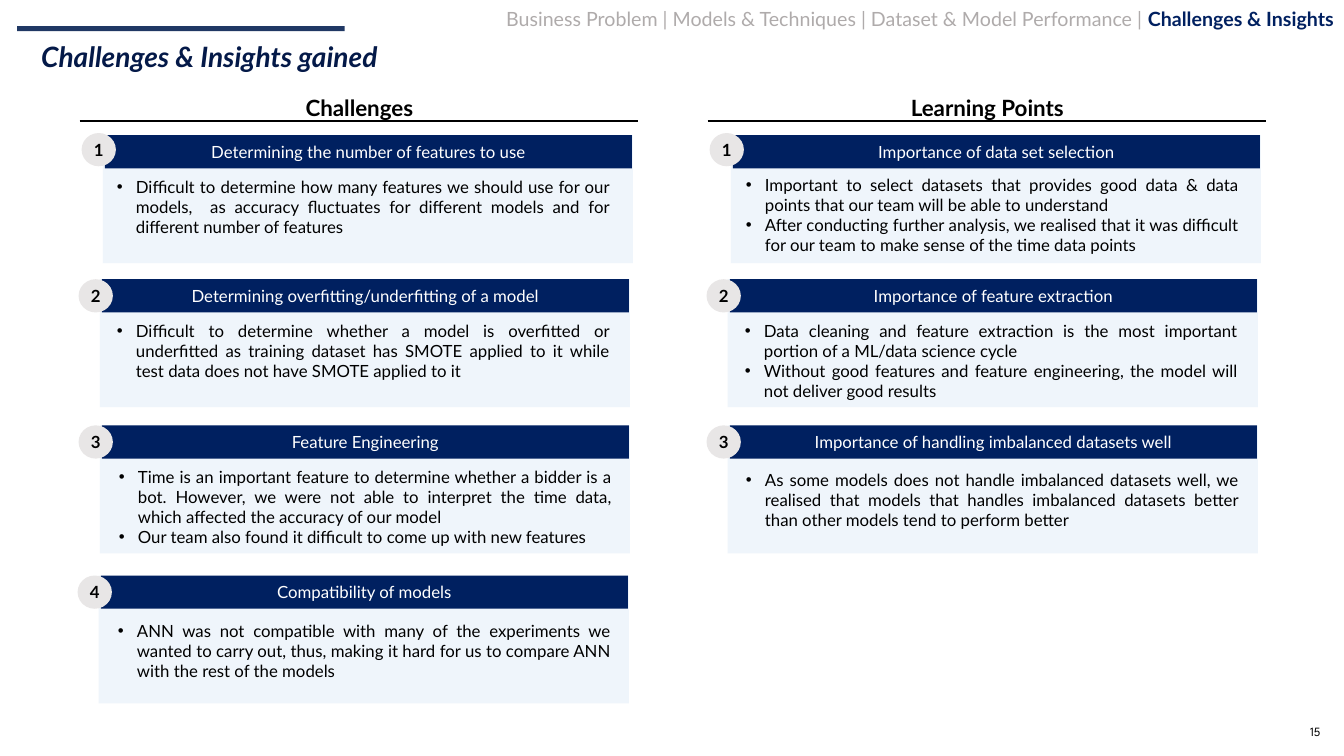
from dataclasses import dataclass

import lxml.etree
import pptx
import pptx.dml.color
import pptx.enum.shapes
import pptx.enum.text
import pptx.oxml.ns
import pptx.util

ALIGN = pptx.enum.text.PP_ALIGN
ANCHOR = pptx.enum.text.MSO_ANCHOR
SHAPE = pptx.enum.shapes.MSO_SHAPE
qn = pptx.oxml.ns.qn

# Grid: 40 columns by 22.5 rows of square cells
CELL = pptx.util.Inches(1) // 3
COLUMNS, ROWS = 40, 22.5
SECTION_PITCH = 18.69
CARD_TOPS = (4.02, 8.31, 12.66, 17.13)
CARD_LEFTS = (3.06, 2.97, 2.97, 2.94)
BAR_HEIGHT = 0.99


@dataclass(frozen=True)
class Theme:
    font: str = "Lato"
    number_font: str = "League Spartan"
    accent: str = "203864"
    navy: str = "002060"
    title: str = "041948"
    muted: str = "AFABAB"
    panel: str = "EFF5FB"
    badge: str = "E8E6E6"
    black: str = "000000"
    white: str = "FFFFFF"
    title_size: float = 20
    section_size: float = 16
    trail_size: float = 14
    body_size: float = 12
    number_size: float = 9


THEME = Theme()


@dataclass(frozen=True)
class Box:
    left: float
    top: float
    width: float
    height: float

    def lengths(self) -> tuple[int, ...]:
        return tuple(round(value * CELL) for value in
                     (self.left, self.top, self.width, self.height))


@dataclass(frozen=True)
class Card:
    heading: str
    points: tuple[str, ...]
    inset: float  # offset of the points from the panel's corner
    drop: float


@dataclass(frozen=True)
class Section:
    heading: str
    cards: tuple[Card, ...]


SECTIONS = (
    Section("Challenges", (
        Card("Determining the number of features to use", (
            "Difficult to determine how many features we should use for our models,  as accuracy "
            "fluctuates for different models and for different number of features",), 0.12, 1.08),
        Card("Determining overfitting/underfitting of a model", (
            "Difficult to determine whether a model is overfitted or underfitted as training dataset "
            "has SMOTE applied to it while test data does not have SMOTE applied to it",), 0.21, 1.08),
        Card("Feature Engineering", (
            "Time is an important feature to determine whether a bidder is a bot. However, we were not "
            "able to interpret the time data, which affected the accuracy of our model",
            "Our team also found it difficult to come up with new features"), 0.27, 1.08),
        Card("Compatibility of models", (
            "ANN was not compatible with many of the experiments we wanted to carry out, thus, making "
            "it hard for us to compare ANN with the rest of the models",), 0.27, 1.2),
    )),
    Section("Learning Points", (
        Card("Importance of data set selection", (
            "Important to select datasets that provides good data & data points that our team will be "
            "able to understand",
            "After conducting further analysis, we realised that it was difficult for our team to make "
            "sense of the time data points"), 0.15, 1.02),
        Card("Importance of feature extraction", (
            "Data cleaning and feature extraction is the most important portion of a ML/data science cycle",
            "Without good features and feature engineering, the model will not deliver good results"),
            0.21, 1.08),
        Card("Importance of handling imbalanced datasets well", (
            "As some models does not handle imbalanced datasets well, we realised that models that "
            "handles imbalanced datasets better than other models tend to perform better",), 0.24, 1.17),
    )),
)


def colour(code: str):
    return pptx.dml.color.RGBColor.from_string(code)


def add_span(para, text: str, *, size: float = THEME.body_size, ink: str = THEME.black,
             font: str = THEME.font, bold: bool = False, italic: bool = False) -> None:
    span = para.add_run()
    span.text = text
    span.font.name, span.font.size = font, pptx.util.Pt(size)
    span.font.bold, span.font.italic = bold, italic
    span.font.color.rgb = colour(ink)


def write(shape, text: str, *, align=ALIGN.CENTER, anchor=ANCHOR.MIDDLE, **style):
    """Fill the first paragraph of a shape and return it."""
    frame = shape.text_frame
    frame.word_wrap, frame.vertical_anchor = True, anchor
    para = frame.paragraphs[0]
    para.alignment = align
    add_span(para, text, **style)
    return para


def write_points(shape, points: tuple[str, ...]) -> None:
    frame = shape.text_frame
    frame.word_wrap = True
    indent = pptx.util.Inches(0.19)
    for index, point in enumerate(points):
        para = frame.add_paragraph() if index else frame.paragraphs[0]
        para.alignment = ALIGN.JUSTIFY
        add_span(para, point)
        properties = para._p.get_or_add_pPr()
        properties.set("marL", str(indent))
        properties.set("indent", str(-indent))
        lxml.etree.SubElement(properties, qn("a:buFont"), typeface="Arial")
        lxml.etree.SubElement(properties, qn("a:buChar"), char="•")


def add_block(shapes, box: Box, fill: str, kind=SHAPE.RECTANGLE):
    block = shapes.add_shape(kind, *box.lengths())
    block.shadow.inherit = False
    block.fill.solid()
    block.fill.fore_color.rgb = colour(fill)
    block.line.fill.background()
    return block


def add_rule(shapes, left: float, right: float, row: float) -> None:
    start, end, height = (round(value * CELL) for value in (left, right, row))
    rule = shapes.add_connector(pptx.enum.shapes.MSO_CONNECTOR.STRAIGHT, start, height, end, height)
    rule.line.color.rgb = colour(THEME.black)
    rule.line.width = pptx.util.Pt(1.5)
    lxml.etree.SubElement(rule._element.spPr, qn("a:effectLst"))


def add_card(page, card: Card, number: int, left: float, top: float) -> None:
    shapes = page.shapes.add_group_shape().shapes
    add_block(shapes, Box(left, top, 15.78, 3.81), THEME.panel)
    notes = Box(left + card.inset, top + card.drop, 15.27, 1.53 + 0.6 * len(card.points))
    write_points(shapes.add_textbox(*notes.lengths()), card.points)
    bar = add_block(shapes, Box(left + 0.06, top, 15.69, BAR_HEIGHT), THEME.navy)
    write(bar, card.heading, ink=THEME.white)
    lift = 0.06 if number == 1 else 0
    badge = add_block(shapes, Box(left - 0.63, top - lift, 1.02, BAR_HEIGHT), THEME.badge, SHAPE.OVAL)
    frame = badge.text_frame
    frame.margin_left = frame.margin_right = frame.margin_top = frame.margin_bottom = 0
    write(badge, str(number), bold=True)


def add_section(page, section: Section, shift: float) -> None:
    heading = page.shapes.add_textbox(*Box(3.42 + shift, 2.61, 14.55, 1.17).lengths())
    write(heading, section.heading, size=THEME.section_size, bold=True)
    add_rule(page.shapes, 2.37 + shift, 18.99 + shift, 3.6)
    places = zip(section.cards, CARD_LEFTS, CARD_TOPS)
    for number, (card, left, top) in enumerate(places, start=1):
        add_card(page, card, number, left + shift, top)


def main() -> None:
    deck = pptx.Presentation()
    deck.slide_width, deck.slide_height = round(COLUMNS * CELL), round(ROWS * CELL)
    page = deck.slides.add_slide(deck.slide_layouts[6])

    # Page frame: accent, page number, section trail, title
    add_block(page.shapes, Box(0.51, 0.78, 9.75, 0.15), THEME.accent)
    number = page.shapes.add_textbox(*Box(37.62, 21.36, 1.98, 0.81).lengths())
    write(number, "15", align=ALIGN.RIGHT, size=THEME.number_size, font=THEME.number_font)
    trail = page.shapes.add_textbox(*Box(12.97, 0, 27.03, 1.14).lengths())
    para = write(trail, "Business Problem | Models & Techniques | Dataset & Model Performance | ",
                 align=ALIGN.RIGHT, size=THEME.trail_size, ink=THEME.muted)
    add_span(para, "Challenges & Insights", size=THEME.trail_size, ink=THEME.navy, bold=True)
    title = page.shapes.add_textbox(*Box(0.93, 1.14, 38.16, 2.04).lengths())
    para = write(title, "Challenges & Insights gained", align=ALIGN.LEFT, anchor=ANCHOR.TOP,
                 size=THEME.title_size, ink=THEME.title, bold=True, italic=True)
    para.line_spacing = 0.9

    # Two columns of numbered cards
    for index, section in enumerate(SECTIONS):
        add_section(page, section, index * SECTION_PITCH)

    deck.save("out.pptx")


if __name__ == "__main__":
    main()
